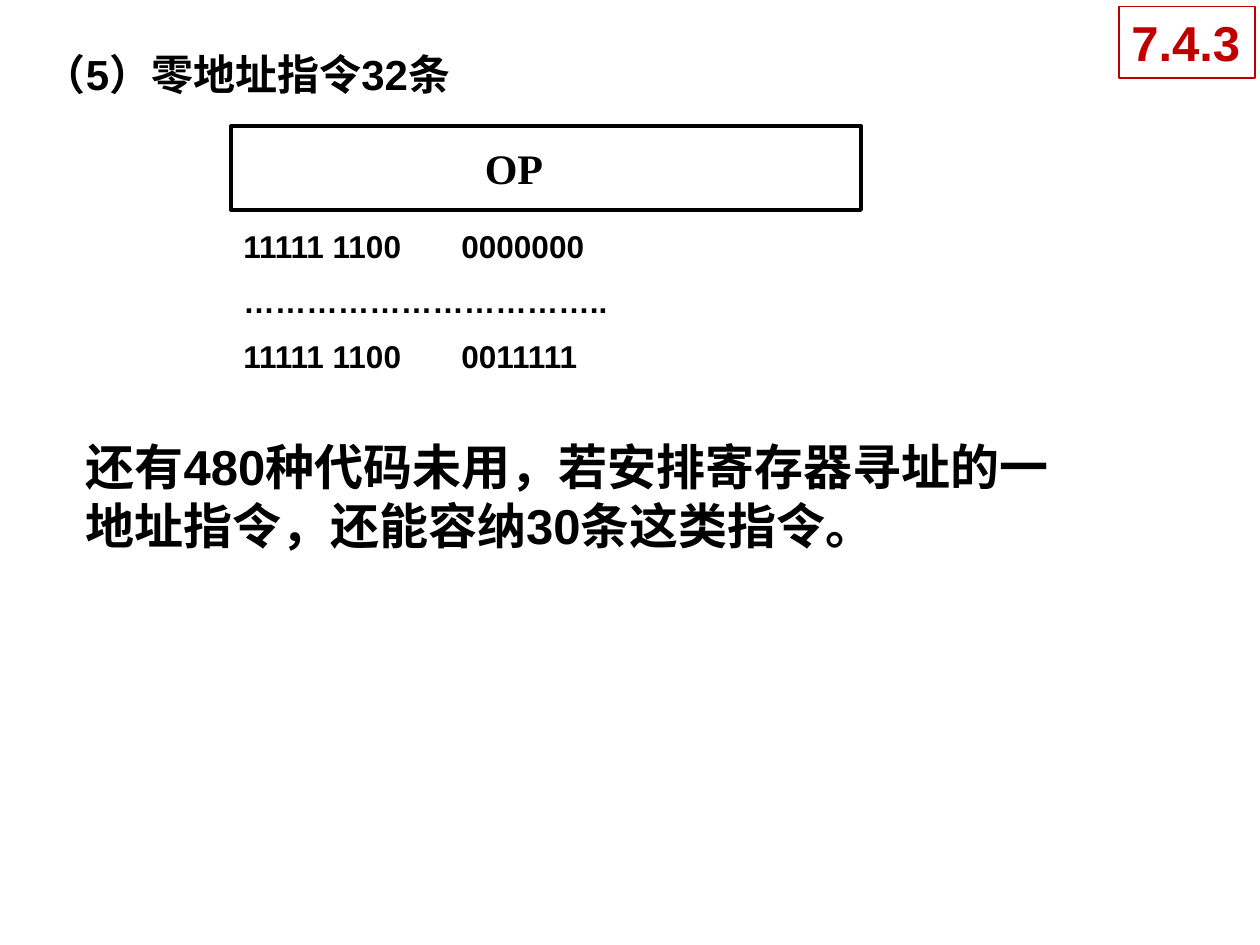
import pptx
import pptx.dml.color
import pptx.enum.shapes
import pptx.enum.text
import pptx.oxml.ns
import pptx.util
from lxml import etree

Pt = pptx.util.Pt
BLACK, WHITE, RED = "000000", "FFFFFF", "C00000"


def color(value):
    return pptx.dml.color.RGBColor.from_string(value)


def add_tab_stop(paragraph, position):
    properties = paragraph._p.get_or_add_pPr()
    tab_list = etree.SubElement(properties, pptx.oxml.ns.qn("a:tabLst"))
    etree.SubElement(tab_list, pptx.oxml.ns.qn("a:tab"), pos=str(Pt(position)), algn="l")


class SlideBuilder:
    def __init__(self, slide, font="Arial"):
        self.slide = slide
        self.font = font

    def set_text(self, shape, lines, size, text_color=BLACK, font=None, wrap=True, gap=0, tab=None):
        """Fill the shape with bold left-aligned lines, gap points apart."""
        frame = shape.text_frame
        frame.text = "\n".join(lines)
        frame.word_wrap = wrap
        frame.auto_size = pptx.enum.text.MSO_AUTO_SIZE.SHAPE_TO_FIT_TEXT
        frame.vertical_anchor = pptx.enum.text.MSO_ANCHOR.TOP
        for index, paragraph in enumerate(frame.paragraphs):
            paragraph.alignment = pptx.enum.text.PP_ALIGN.LEFT
            if index:
                paragraph.space_before = Pt(gap)
            if tab:
                add_tab_stop(paragraph, tab)
            for run in paragraph.runs:
                run.font.name = font or self.font
                run.font.size = Pt(size)
                run.font.bold = True
                run.font.color.rgb = color(text_color)

    def text(self, left, top, width, height, lines, size, **style):
        box = self.slide.shapes.add_textbox(Pt(left), Pt(top), Pt(width), Pt(height))
        self.set_text(box, lines, size, **style)

    def rectangle(self, left, top, width, height, line, line_width, fill=None):
        shape = self.slide.shapes.add_shape(
            pptx.enum.shapes.MSO_SHAPE.RECTANGLE, Pt(left), Pt(top), Pt(width), Pt(height))
        shape.shadow.inherit = False
        if fill:
            shape.fill.solid()
            shape.fill.fore_color.rgb = color(fill)
        else:
            shape.fill.background()
        shape.line.color.rgb = color(line)
        shape.line.width = Pt(line_width)
        return shape


def main():
    presentation = pptx.Presentation()
    presentation.slide_width, presentation.slide_height = Pt(720), Pt(540)
    builder = SlideBuilder(presentation.slides.add_slide(presentation.slide_layouts[6]))

    builder.text(18, 24, 666, 36, ["（5）零地址指令32条"], 24)

    builder.rectangle(132, 72, 360, 48, BLACK, 2.25)
    builder.text(270, 78, 47.5, 36, ["OP"], 24, font="Times New Roman", wrap=False)
    codes = ["11111 1100\t0000000", "……………………………..", "11111 1100\t0011111"]
    builder.text(132, 126, 360, 93.6, codes, 18, gap=10, tab=124.6)

    builder.text(42, 246, 570, 74.2,
                 ["还有480种代码未用，若安排寄存器寻址的一地址指令，还能容纳30条这类指令。"], 28)

    section = builder.rectangle(639.4, 3.6, 77.8, 41, RED, 0.75, fill=WHITE)
    builder.set_text(section, ["7.4.3"], 28, text_color=RED, wrap=False)

    presentation.save("out.pptx")


if __name__ == "__main__":
    main()
